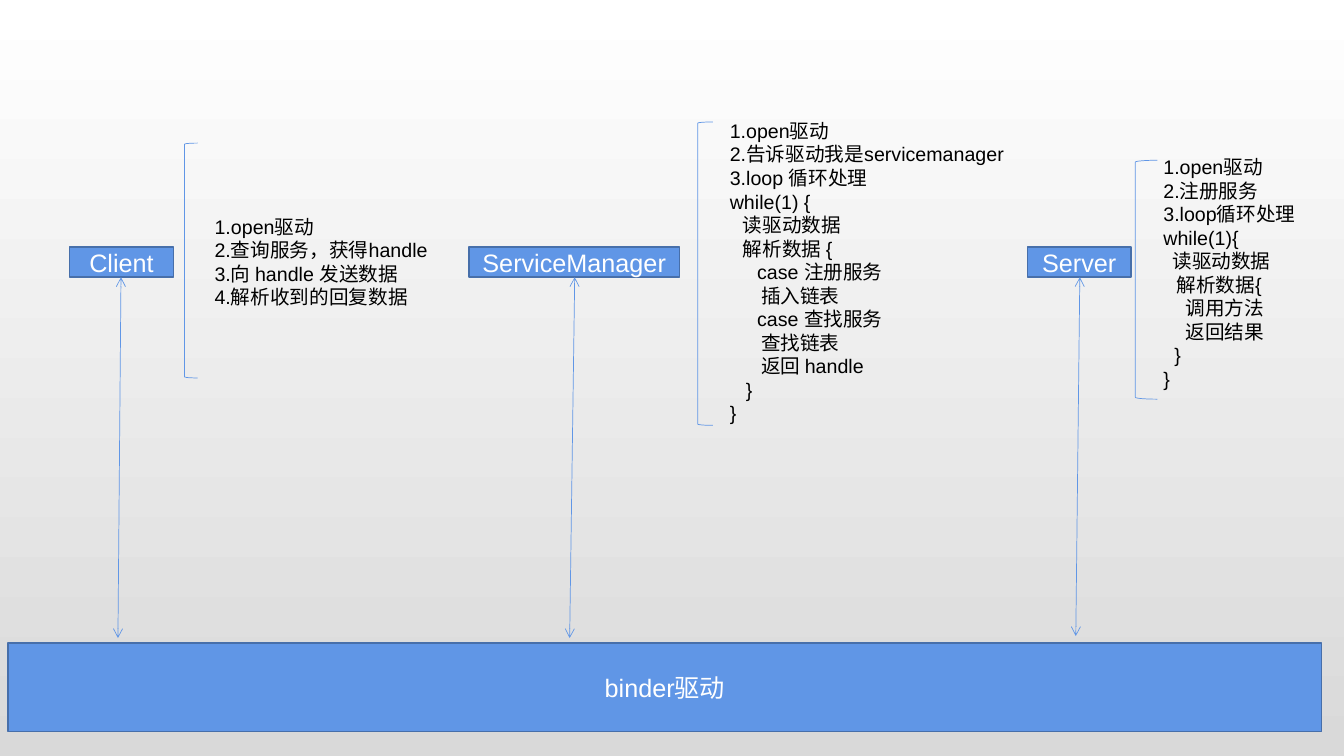
from lxml.etree import SubElement
from pptx import Presentation
from pptx.dml.color import RGBColor
from pptx.enum.shapes import MSO_CONNECTOR, MSO_SHAPE
from pptx.enum.text import MSO_ANCHOR, MSO_AUTO_SIZE, PP_ALIGN
from pptx.oxml.ns import qn
from pptx.util import Inches, Pt

BLUE = RGBColor(0x60, 0x96, 0xE6)
EDGE = RGBColor(0x47, 0x6F, 0xAA)
WHITE = RGBColor(0xFF, 0xFF, 0xFF)
GREY = RGBColor(0xD9, 0xD9, 0xD9)
BLACK = RGBColor(0, 0, 0)

SLIDE_W, SLIDE_H = 13.33, 7.5
LABEL_TOP, LABEL_H = 2.45, 0.3
DRIVER_BOX = (0.08, 6.38, 13.03, 0.88)

# Parts are offset from the left edge of their process; notes are (indent, text).
PROCESSES = [
    dict(name="Client", box=(0.69, LABEL_TOP, 1.03, LABEL_H),
         bracket=(1.14, 1.42, 0.13, 2.33), notes_box=(1.34, 2.08, 2.38, 1.04),
         arrow=(0.51, 0.48, 6.33),
         notes=[(0, "1.open驱动"), (0, "2.查询服务，获得handle"),
                (0, "3.向 handle 发送数据"), (0, "4.解析收到的回复数据")]),
    dict(name="ServiceManager", box=(4.65, LABEL_TOP, 2.09, LABEL_H),
         bracket=(2.27, 1.21, 0.15, 3.01), notes_box=(2.49, 1.13, 2.95, 3.16),
         arrow=(1.05, 1, 6.33),
         notes=[(0, "1.open驱动"), (0, "2.告诉驱动我是servicemanager"),
                (0, "3.loop 循环处理"), (0, "while(1) {"),
                (0.13, "读驱动数据"), (0.13, "解析数据 {"),
                (0.27, "case 注册服务"), (0.31, "插入链表"),
                (0.27, "case 查找服务"), (0.31, "查找链表"),
                (0.31, "返回 handle"), (0.16, "}"), (0, "}")]),
    dict(name="Server", box=(10.19, LABEL_TOP, 1.03, LABEL_H),
         bracket=(1.07, 1.59, 0.22, 2.37), notes_box=(1.25, 1.49, 1.9, 2.46),
         arrow=(0.52, 0.48, 6.31),
         notes=[(0, "1.open驱动"), (0, "2.注册服务"), (0, "3.loop循环处理"),
                (0, "while(1){"), (0.09, "读驱动数据"), (0.13, "解析数据{"),
                (0.22, "调用方法"), (0.22, "返回结果"), (0.11, "}"), (0, "}")]),
]


def inches(*lengths):
    return [Inches(v) for v in lengths]


def add_run(p, text, size, color):
    r = p.add_run()
    r.text = text
    for key, value in dict(name="Arial", size=Pt(size)).items():
        setattr(r.font, key, value)
    r.font.color.rgb = color


def set_line(sp, color, width):
    sp.line.color.rgb = color
    sp.line.width = Pt(width)


def add_block(s, box, text):
    sp = s.shapes.add_shape(MSO_SHAPE.RECTANGLE, *inches(*box))
    sp.shadow.inherit = False
    sp.fill.solid()
    sp.fill.fore_color.rgb = BLUE
    set_line(sp, EDGE, 1)
    tf = sp.text_frame
    tf.vertical_anchor = MSO_ANCHOR.MIDDLE
    p = tf.paragraphs[0]
    p.alignment = PP_ALIGN.CENTER
    add_run(p, text, 18, WHITE)


def add_bracket(s, box):
    sp = s.shapes.add_shape(MSO_SHAPE.LEFT_BRACKET, *inches(*box))
    sp.shadow.inherit = False
    sp.fill.background()
    set_line(sp, BLUE, 0.5)


def add_notes(s, box, notes):
    tf = s.shapes.add_textbox(*inches(*box)).text_frame
    tf.word_wrap = True
    tf.auto_size = MSO_AUTO_SIZE.SHAPE_TO_FIT_TEXT
    for i, (indent, text) in enumerate(notes):
        p = tf.add_paragraph() if i else tf.paragraphs[0]
        if indent:
            p._p.get_or_add_pPr().set("marL", str(Inches(indent)))
        add_run(p, text, 14, BLACK)


def add_double_arrow(s, *ends):
    line = s.shapes.add_connector(MSO_CONNECTOR.STRAIGHT, *inches(*ends))
    set_line(line, BLUE, 0.5)
    ln = line.line._get_or_add_ln()
    for end in ("a:headEnd", "a:tailEnd"):
        SubElement(ln, qn(end), type="arrow")
    SubElement(line._element.spPr, qn("a:effectLst"))


def add_process(s, box, name, bracket, notes_box, notes, arrow):
    """Place a label, its bracketed steps and its arrow to the driver."""
    left, top, _, height = box
    start, end, bottom = arrow
    add_block(s, box, name)
    add_bracket(s, (left + bracket[0], *bracket[1:]))
    add_notes(s, (left + notes_box[0], *notes_box[1:]), notes)
    add_double_arrow(s, left + start, top + height, left + end, bottom)


def set_background(s):
    fill = s.background.fill
    fill.gradient()
    fill.gradient_angle = 270
    for stop, position, color in zip(fill.gradient_stops, (0, 1), (WHITE, GREY)):
        stop.position = position
        stop.color.rgb = color


def main():
    prs = Presentation()
    prs.slide_width, prs.slide_height = inches(SLIDE_W, SLIDE_H)
    s = prs.slides.add_slide(prs.slide_layouts[6])
    set_background(s)
    add_block(s, DRIVER_BOX, "binder驱动")
    for process in PROCESSES:
        add_process(s, **process)
    prs.save("out.pptx")


if __name__ == "__main__":
    main()
